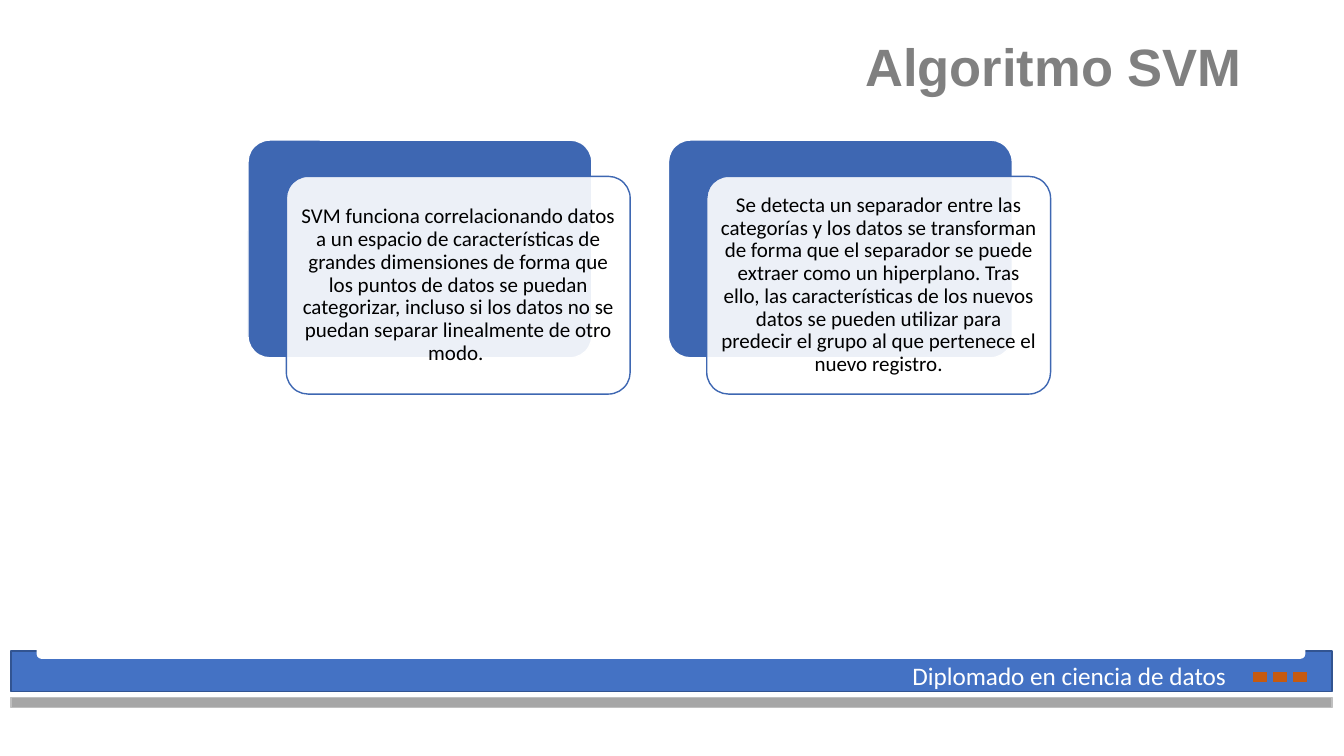
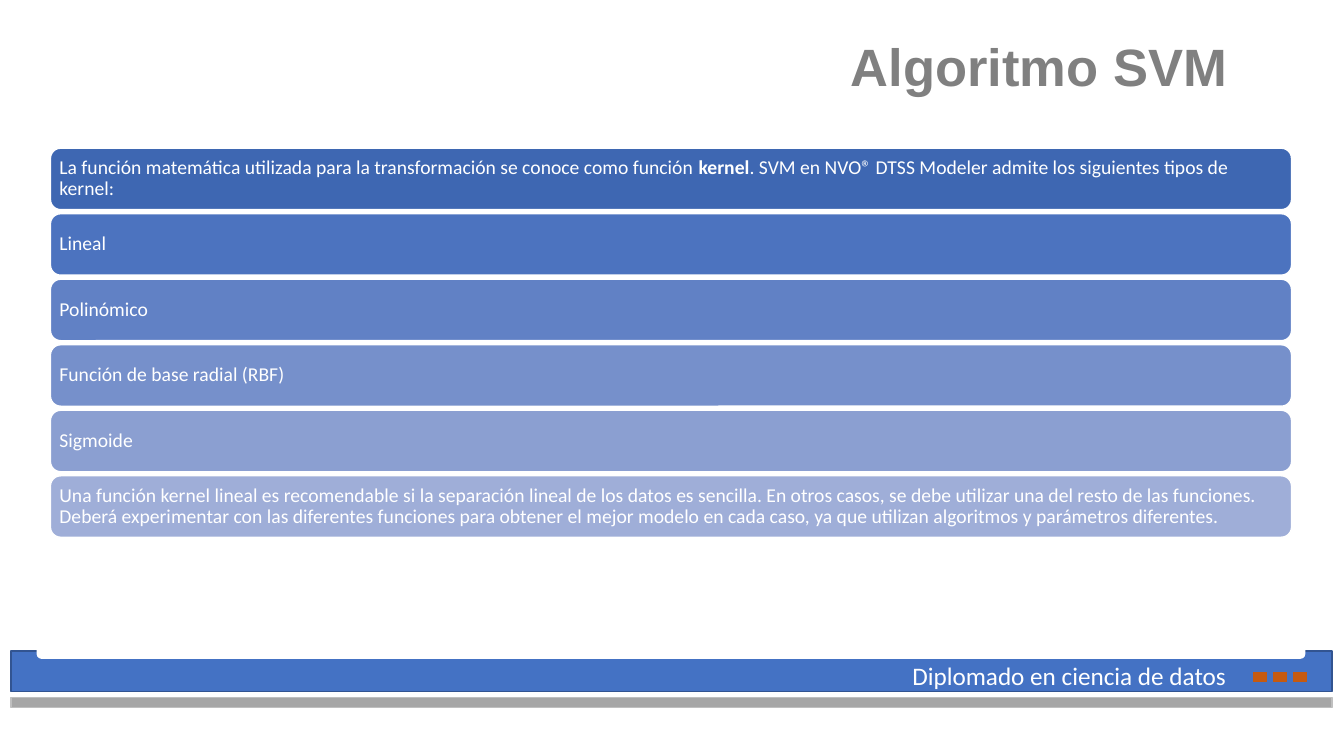
"""Build the two SVM algorithm slides of the data science course."""
from dataclasses import dataclass
from typing import Optional

from lxml import etree
from pptx import Presentation
from pptx.dml.color import RGBColor
from pptx.enum.shapes import MSO_SHAPE
from pptx.enum.text import MSO_ANCHOR, MSO_AUTO_SIZE, PP_ALIGN
from pptx.oxml.ns import qn
from pptx.shapes.autoshape import Shape
from pptx.slide import Slide
from pptx.text.text import TextFrame
from pptx.util import Inches, Pt

RECT, ROUNDED = MSO_SHAPE.RECTANGLE, MSO_SHAPE.ROUNDED_RECTANGLE
LEFT, CENTER, RIGHT = PP_ALIGN.LEFT, PP_ALIGN.CENTER, PP_ALIGN.RIGHT
TOP, MIDDLE, BOTTOM = MSO_ANCHOR.TOP, MSO_ANCHOR.MIDDLE, MSO_ANCHOR.BOTTOM
NO_AUTOFIT = MSO_AUTO_SIZE.NONE

WHITE = RGBColor(0xFF, 0xFF, 0xFF)
BLACK = RGBColor(0x00, 0x00, 0x00)
TITLE_GRAY = RGBColor(0x80, 0x80, 0x80)
BAND_BLUE = RGBColor(0x44, 0x72, 0xC4)
BAND_EDGE = RGBColor(0x32, 0x54, 0x91)
STRIP_GRAY = RGBColor(0xA6, 0xA6, 0xA6)
STRIP_EDGE = RGBColor(0xBF, 0xBF, 0xBF)
ORANGE = RGBColor(0xC5, 0x5A, 0x11)
DEEP_BLUE = RGBColor(0x3E, 0x67, 0xB2)
BAR_BLUES = (
    DEEP_BLUE,
    RGBColor(0x4C, 0x73, 0xBF),
    RGBColor(0x61, 0x81, 0xC5),
    RGBColor(0x76, 0x90, 0xCB),
    RGBColor(0x8B, 0x9F, 0xD1),
    RGBColor(0x9F, 0xAE, 0xD8),
)
TITLE_FONT, BODY_FONT = "Arial", "Calibri"
TITLE_ONLY = 5
PANEL_INSET = 0.06


@dataclass(frozen=True)
class Box:
    """A rectangle on the slide, in inches."""
    left: float
    top: float
    width: float
    height: float


@dataclass(frozen=True)
class Panel:
    """A filled and outlined preset shape."""
    box: Box
    fill: RGBColor
    line: RGBColor
    preset: MSO_SHAPE = RECT
    corner: Optional[float] = None
    opacity: Optional[int] = None


@dataclass(frozen=True)
class Span:
    """A stretch of text with one weight."""
    text: str
    bold: bool = False


FOOTER_PANELS = (
    Panel(Box(0.11, 6.46, 13.1, 0.4), BAND_BLUE, BAND_EDGE),
    Panel(Box(0.37, 6.27, 12.57, 0.26), WHITE, WHITE, ROUNDED),
    Panel(Box(0.11, 6.92, 13.1, 0.1), STRIP_GRAY, STRIP_EDGE),
    *(Panel(Box(12.43 + 0.2 * i, 6.67, 0.13, 0.09), ORANGE, ORANGE)
      for i in range(3)),
)
EXPLANATIONS = (
    "SVM funciona correlacionando datos a un espacio de características de "
    "grandes dimensiones de forma que los puntos de datos se puedan "
    "categorizar, incluso si los datos no se puedan separar linealmente de "
    "otro modo.\u00a0",
    "Se detecta un separador entre las categorías y los datos se transforman "
    "de forma que el separador se puede extraer como un hiperplano. Tras "
    "ello, las características de los nuevos datos se pueden utilizar para "
    "predecir el grupo al que pertenece el nuevo registro.",
)
KERNEL_ROWS = (
    (Span("La función matemática utilizada para la transformación se conoce "
          "como función\u00a0"),
     Span("kernel", bold=True),
     Span(". SVM en\u00a0NVO® DTSS Modeler\u00a0admite los siguientes tipos "
          "de kernel:")),
    (Span("Lineal"),),
    (Span("Polinómico"),),
    (Span("Función de base radial (RBF)"),),
    (Span("Sigmoide"),),
    (Span("Una función kernel lineal es recomendable si la separación lineal "
          "de los datos es sencilla. En otros casos, se debe utilizar una del "
          "resto de las funciones. Deberá experimentar con las diferentes "
          "funciones para obtener el mejor modelo en cada caso, ya que "
          "utilizan algoritmos y parámetros diferentes."),),
)


def place(box: Box) -> tuple:
    """Return the box as lengths."""
    return tuple(Inches(v) for v in (box.left, box.top, box.width, box.height))


def write(frame: TextFrame, *spans: Span, size: float, color: RGBColor,
          font: str = BODY_FONT, align: PP_ALIGN = LEFT,
          anchor: MSO_ANCHOR = MIDDLE, spacing: float = 0.9,
          inset: Optional[float] = None) -> None:
    """Write one formatted paragraph into a text frame."""
    frame.word_wrap = True
    frame.auto_size = NO_AUTOFIT
    frame.vertical_anchor = anchor
    if inset is not None:
        frame.margin_left = frame.margin_right = Inches(inset)
        frame.margin_top = frame.margin_bottom = Inches(inset)
    paragraph = frame.paragraphs[0]
    paragraph.alignment = align
    paragraph.line_spacing = spacing
    for span in spans:
        run = paragraph.add_run()
        run.text = span.text
        run.font.name = font
        run.font.size = Pt(size)
        run.font.bold = span.bold
        run.font.color.rgb = color


def draw_panel(slide: Slide, panel: Panel) -> Shape:
    """Draw a panel and return its shape."""
    shape = slide.shapes.add_shape(panel.preset, *place(panel.box))
    shape.shadow.inherit = False
    shape.fill.solid()
    shape.fill.fore_color.rgb = panel.fill
    shape.line.color.rgb = panel.line
    shape.line.width = Pt(1)
    if panel.corner is not None:
        shape.adjustments[0] = panel.corner
    if panel.opacity is not None:
        fill_color = shape.element.spPr.find(qn("a:solidFill"))[0]
        alpha = etree.SubElement(fill_color, qn("a:alpha"))
        alpha.set("val", str(panel.opacity * 1000))
    return shape


def add_course_slide(deck: Presentation, heading: str) -> Slide:
    """Add a slide with the course title style and footer."""
    slide = deck.slides.add_slide(deck.slide_layouts[TITLE_ONLY])
    title = slide.shapes.title
    title.left, title.top, title.width, title.height = place(
        Box(6.52, 0.4, 5.9, 0.6))
    write(title.text_frame, Span(heading, bold=True), size=37.5,
          color=TITLE_GRAY, font=TITLE_FONT, align=RIGHT, anchor=BOTTOM,
          spacing=0.7)
    for panel in FOOTER_PANELS:
        draw_panel(slide, panel)
    course = slide.shapes.add_textbox(*place(Box(8.95, 6.5, 3.45, 0.4)))
    write(course.text_frame, Span("Diplomado en ciencia de datos"), size=18,
          color=WHITE, anchor=TOP, spacing=1.0)
    return slide


def draw_explanations(slide: Slide) -> None:
    """Draw each explanation on a card offset from its backing."""
    for column, explanation in enumerate(EXPLANATIONS):
        left = 2.46 + 4.17 * column
        draw_panel(slide, Panel(Box(left, 1.39, 3.41, 2.16), DEEP_BLUE, WHITE,
                                ROUNDED, corner=0.1))
        card = draw_panel(slide, Panel(Box(left + 0.38, 1.75, 3.41, 2.16),
                                       WHITE, DEEP_BLUE, ROUNDED, corner=0.1,
                                       opacity=90))
        write(card.text_frame, Span(explanation), size=15, color=BLACK,
              align=CENTER, inset=PANEL_INSET)


def draw_kernels(slide: Slide) -> None:
    """Draw the kernel rows as stacked bars that grow lighter."""
    for row, (spans, blue) in enumerate(zip(KERNEL_ROWS, BAR_BLUES)):
        bar = draw_panel(slide, Panel(Box(0.5, 1.47 + 0.65 * row, 12.31, 0.61),
                                      blue, WHITE, ROUNDED))
        write(bar.text_frame, *spans, size=14, color=WHITE, inset=PANEL_INSET)


def main() -> None:
    """Build and save the deck."""
    deck = Presentation()
    deck.slide_width, deck.slide_height = Inches(13.33), Inches(7.5)
    draw_explanations(add_course_slide(deck, "Algoritmo SVM"))
    draw_kernels(add_course_slide(deck, "Algoritmo SVM\u00a0"))
    deck.save("out.pptx")


main()
